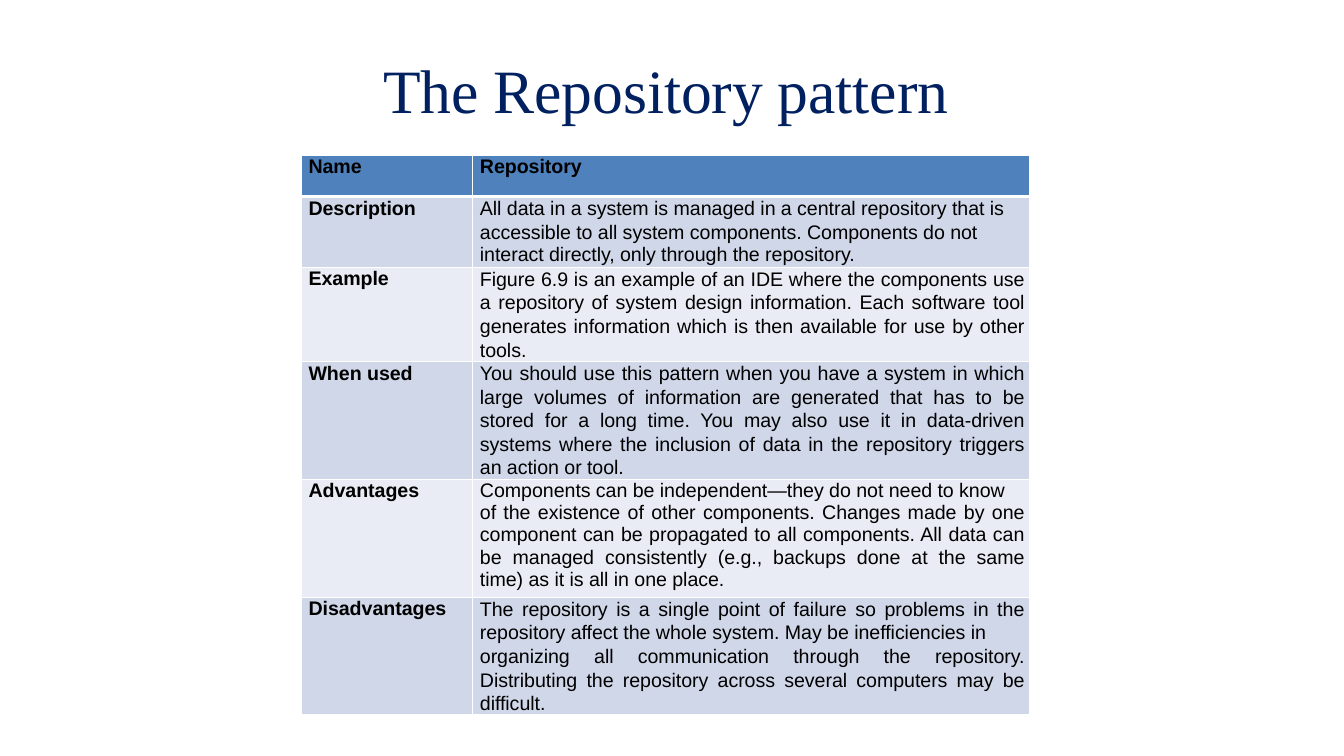
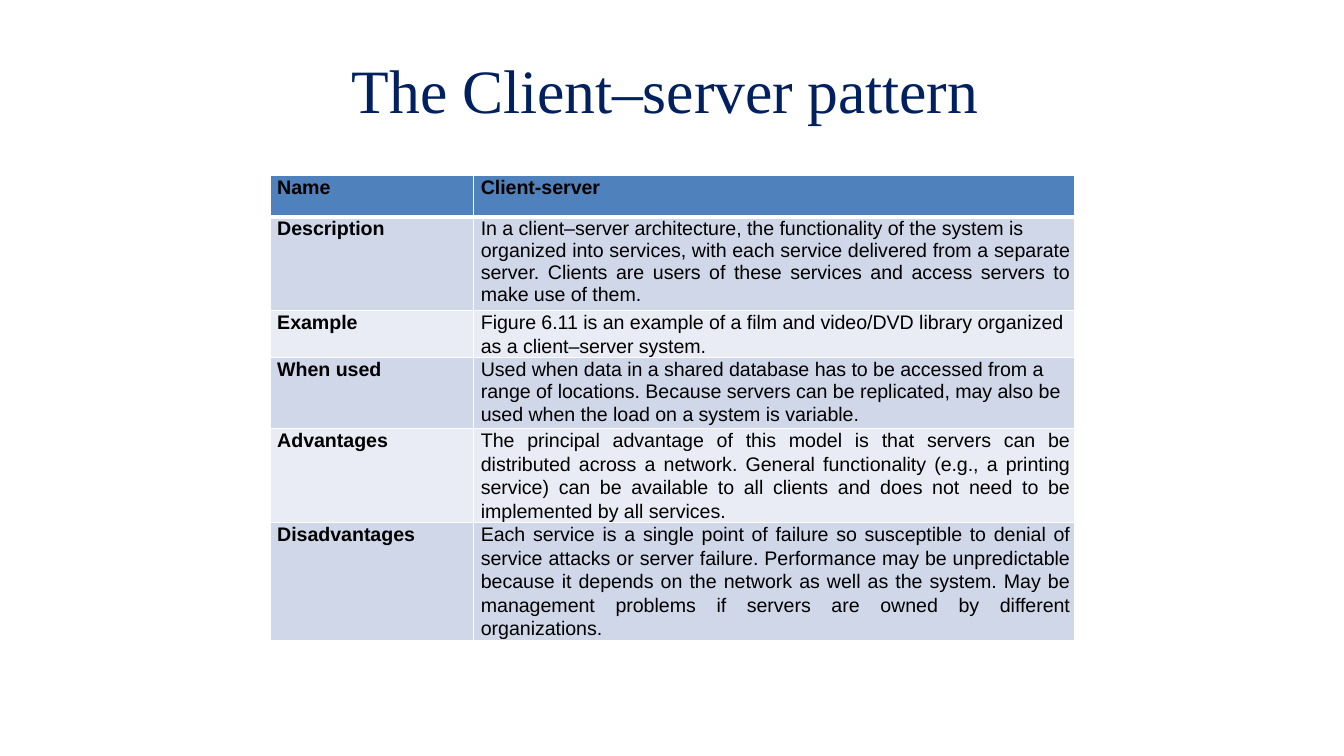
from pptx import Presentation
from pptx.dml.color import RGBColor
from pptx.enum.text import MSO_ANCHOR, MSO_AUTO_SIZE, PP_ALIGN
from pptx.oxml import parse_xml
from pptx.oxml.ns import nsdecls
from pptx.util import Inches, Pt

LEFT, JUSTIFY = PP_ALIGN.LEFT, PP_ALIGN.JUSTIFY
MIDDLE = MSO_ANCHOR.MIDDLE
NO_AUTOFIT = MSO_AUTO_SIZE.NONE

NAVY = RGBColor(0x00, 0x20, 0x60)
BLACK = RGBColor(0x00, 0x00, 0x00)
HEADER_BLUE = RGBColor(0x4F, 0x81, 0xBC)
BAND_DARK = RGBColor(0xD0, 0xD7, 0xE8)
BAND_LIGHT = RGBColor(0xE9, 0xEC, 0xF4)

TITLE_FONT, TABLE_FONT = "Times New Roman", "Arial"
TITLE_ONLY = 5
SINGLE, LABEL_LEADING, BODY_LEADING = 1.0, Pt(16.4), Pt(16.8)
THIN, THICK = Pt(1), Pt(3)

REPOSITORY_ROWS = [
    ("Name", 0.41, LEFT, [(LABEL_LEADING, "Repository")]),
    ("Description", 0.7, LEFT, [
        (BODY_LEADING, "All data in a system is managed in a central repository that is "
                       "accessible to all system components. Components do not"),
        (Pt(15.7), "interact directly, only through the repository.")]),
    ("Example", 0.93, JUSTIFY, [
        (BODY_LEADING, "Figure 6.9 is an example of an IDE where the components use a "
                       "repository of system design information. Each software tool "
                       "generates information which is then available for use by other "
                       "tools.")]),
    ("When used", 1.17, JUSTIFY, [
        (BODY_LEADING, "You should use this pattern when you have a system in which "
                       "large volumes of information are generated that has to be "
                       "stored for a long time. You may also use it in data-driven "
                       "systems where the inclusion of data in the repository triggers "
                       "an action or tool.")]),
    ("Advantages", 1.17, JUSTIFY, [
        (LABEL_LEADING, "Components can be independent—they do not need to know"),
        (SINGLE, "of the existence of other components. Changes made by one "
                 "component can be propagated to all components. All data can "
                 "be managed consistently (e.g., backups done at the same "
                 "time) as it is all in one place.")]),
    ("Disadvantages", 1.17, JUSTIFY, [
        (BODY_LEADING, "The repository is a single point of failure so problems in the "
                       "repository affect the whole system. May be inefficiencies in"),
        (BODY_LEADING, "organizing all communication through the repository. "
                       "Distributing the repository across several computers may be "
                       "difficult.")]),
]

CLIENT_SERVER_ROWS = [
    ("Name", 0.41, LEFT, [(LABEL_LEADING, "Client-server")]),
    ("Description", 0.93, JUSTIFY, [
        (LABEL_LEADING, "In a client–server architecture, the functionality of the system is"),
        (SINGLE, "organized into services, with each service delivered from a "
                 "separate server. Clients are users of these services and access "
                 "servers to make use of them.")]),
    ("Example", 0.47, LEFT, [
        (BODY_LEADING, "Figure 6.11 is an example of a film and video/DVD library organized "
                       "as a client–server system.")]),
    ("When used", 0.7, LEFT, [
        (LABEL_LEADING, "Used when data in a shared database has to be accessed from a"),
        (SINGLE, "range of locations. Because servers can be replicated, may also be"),
        (Pt(16.1), "used when the load on a system is variable.")]),
    ("Advantages", 0.93, JUSTIFY, [
        (BODY_LEADING, "The principal advantage of this model is that servers can be "
                       "distributed across a network. General functionality (e.g., a printing "
                       "service) can be available to all clients and does not need to be "
                       "implemented by all services.")]),
    ("Disadvantages", 1.17, JUSTIFY, [
        (BODY_LEADING, "Each service is a single point of failure so susceptible to denial of "
                       "service attacks or server failure. Performance may be unpredictable "
                       "because it depends on the network as well as the system. May be "
                       "management problems if servers are owned by different "
                       "organizations.")]),
]


def write_paragraph(paragraph, text, font_name, size, color, bold=False, tracking=-5):
    """Write one run with its font and letter spacing in hundredths of a point."""
    run = paragraph.add_run()
    run.text = text
    run._r.get_or_add_rPr().set("spc", str(tracking))
    font = paragraph.font
    font.name, font.size, font.bold = font_name, Pt(size), bold
    font.color.rgb = color


def add_title(slide, text, left, width):
    """Place and format the title placeholder."""
    title = slide.shapes.title
    title.left, title.top = Inches(left), Inches(0.5)
    title.width, title.height = Inches(width), Inches(0.76)
    frame = title.text_frame
    frame.margin_left = frame.margin_right = frame.margin_bottom = 0
    frame.margin_top = Inches(0.01)
    frame.vertical_anchor = MIDDLE
    frame.auto_size = NO_AUTOFIT
    frame.word_wrap = False
    paragraph = frame.paragraphs[0]
    paragraph.alignment = LEFT
    write_paragraph(paragraph, text, TITLE_FONT, 44, NAVY, tracking=-10)


def set_borders(cell, top, bottom):
    """Draw white borders around a cell."""
    properties = cell._tc.get_or_add_tcPr()
    for side, width in (("L", THIN), ("R", THIN), ("T", top), ("B", bottom)):
        properties.append(parse_xml(
            f'<a:ln{side} {nsdecls("a")} w="{width}"><a:solidFill>'
            f'<a:srgbClr val="FFFFFF"/></a:solidFill></a:ln{side}>'))


def fill_cell(cell, paragraphs, alignment, bold, row_index):
    """Write the paragraphs of a cell and apply the style of its row."""
    set_borders(cell, THICK if row_index == 1 else THIN, THICK if row_index == 0 else THIN)
    cell.fill.solid()
    band = BAND_DARK if row_index % 2 else BAND_LIGHT
    cell.fill.fore_color.rgb = band if row_index else HEADER_BLUE
    cell.margin_top = cell.margin_bottom = 0
    cell.margin_left, cell.margin_right = Inches(0.07), Inches(0.05)
    frame = cell.text_frame
    for index, (leading, text) in enumerate(paragraphs):
        paragraph = frame.add_paragraph() if index else frame.paragraphs[0]
        paragraph.alignment = alignment
        paragraph.line_spacing = leading
        write_paragraph(paragraph, text, TABLE_FONT, 14, BLACK, bold)


def add_pattern_table(slide, left, top, column_widths, rows):
    """Add the two-column table that describes a pattern."""
    height = sum(row[1] for row in rows)
    table = slide.shapes.add_table(
        len(rows), 2, Inches(left), Inches(top),
        Inches(sum(column_widths)), Inches(height)).table
    table.first_row = table.horz_banding = False
    for column, width in zip(table.columns, column_widths):
        column.width = Inches(width)
    for index, (label, row_height, alignment, paragraphs) in enumerate(rows):
        table.rows[index].height = Inches(row_height)
        fill_cell(table.cell(index, 0), [(LABEL_LEADING, label)], LEFT, True, index)
        fill_cell(table.cell(index, 1), paragraphs, alignment, index == 0, index)


def main():
    """Build both pattern slides."""
    deck = Presentation()
    deck.slide_width, deck.slide_height = Inches(13.33), Inches(7.5)
    patterns = [
        ("The Repository pattern", (3.8, 5.74), (2.99, 1.54), (1.7, 5.52), REPOSITORY_ROWS),
        ("The Client–server pattern", (3.49, 6.36), (2.68, 1.74), (2.02, 5.96),
         CLIENT_SERVER_ROWS),
    ]
    for title, title_span, table_corner, column_widths, rows in patterns:
        slide = deck.slides.add_slide(deck.slide_layouts[TITLE_ONLY])
        add_title(slide, title, *title_span)
        add_pattern_table(slide, *table_corner, column_widths, rows)
    deck.save("out.pptx")


if __name__ == "__main__":
    main()
